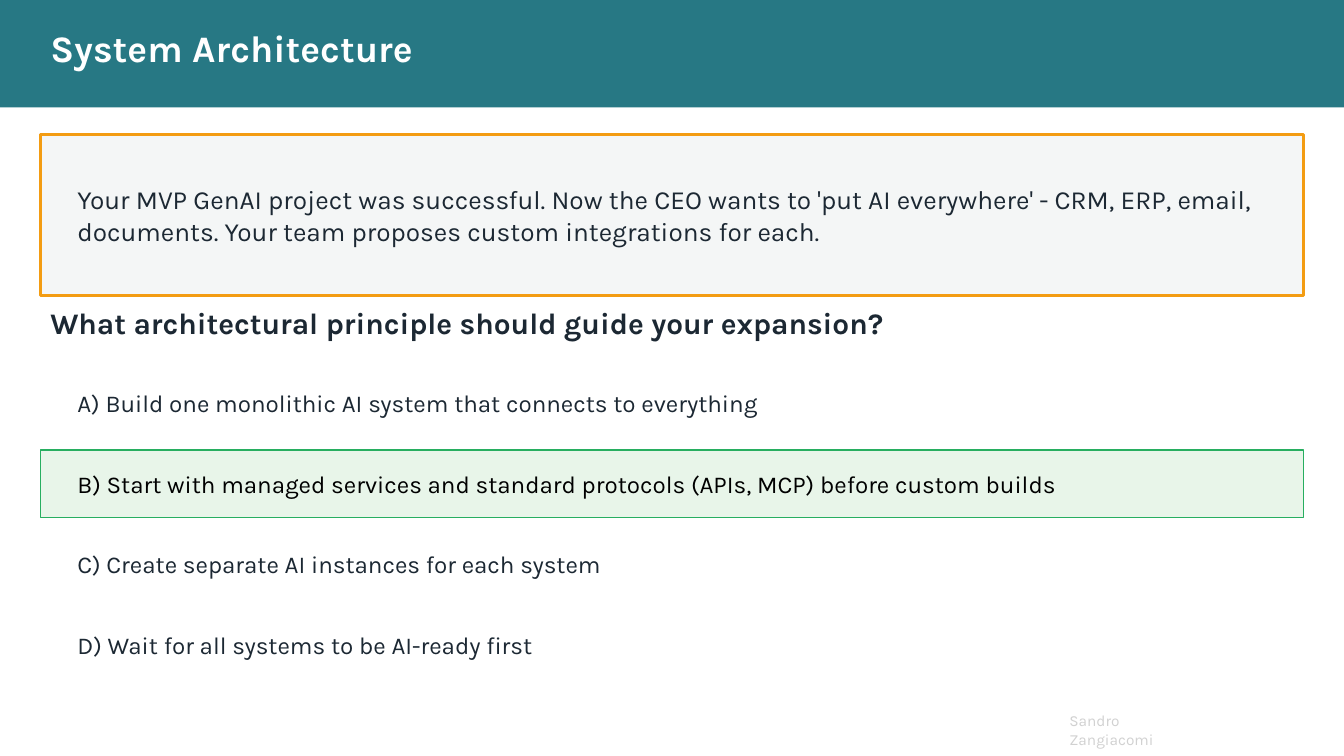
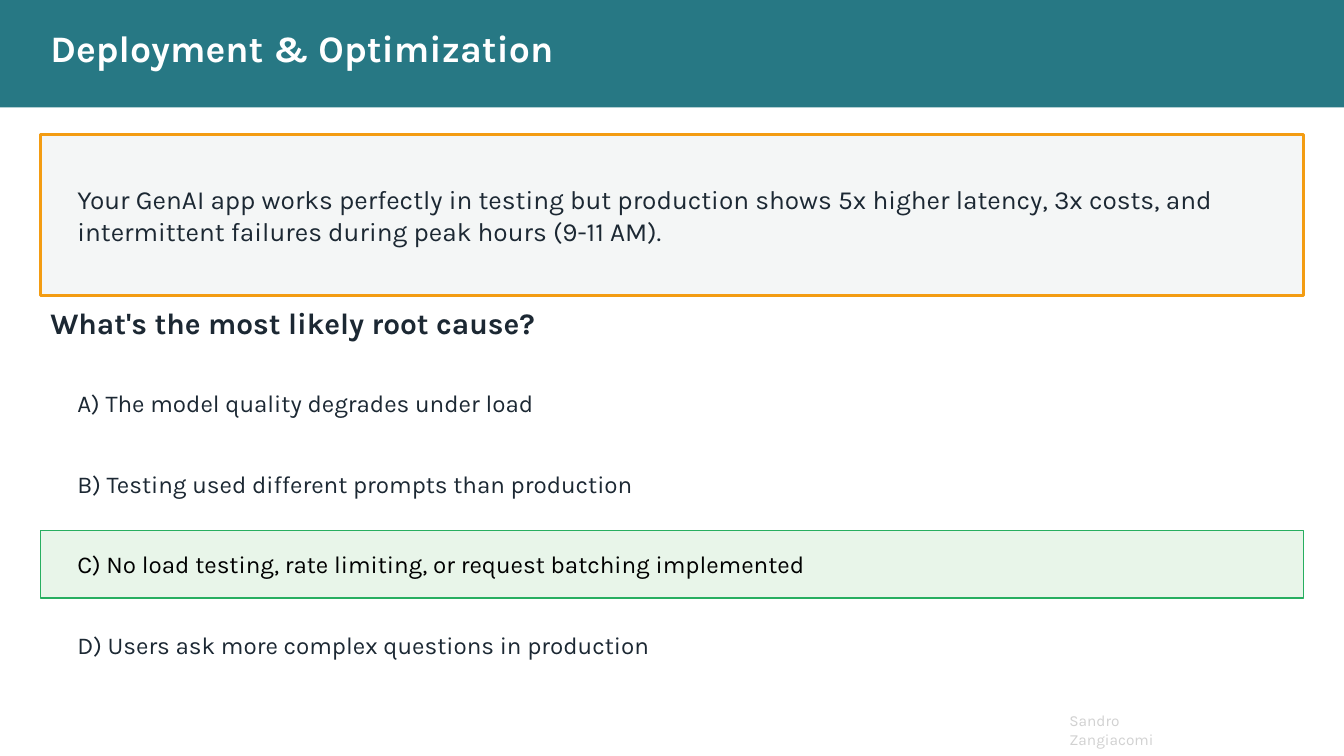
import pptx
import pptx.dml.color
import pptx.enum.shapes
import pptx.enum.text
import pptx.util
from pptx.util import Cm

QUESTIONS = [
    {
        "title": "System Architecture",
        "scenario": "Your MVP GenAI project was successful. Now the CEO wants to "
                    "'put AI everywhere' - CRM, ERP, email, documents. "
                    "Your team proposes custom integrations for each.",
        "question": "What architectural principle should guide your expansion?",
        "options": [
            "A) Build one monolithic AI system that connects to everything",
            "B) Start with managed services and standard protocols (APIs, MCP) "
            "before custom builds",
            "C) Create separate AI instances for each system",
            "D) Wait for all systems to be AI-ready first",
        ],
        "answer": 1,
    },
    {
        "title": "Deployment & Optimization",
        "scenario": "Your GenAI app works perfectly in testing but production shows "
                    "5x higher latency, 3x costs, and intermittent failures during "
                    "peak hours (9-11 AM).",
        "question": "What's the most likely root cause?",
        "options": [
            "A) The model quality degrades under load",
            "B) Testing used different prompts than production",
            "C) No load testing, rate limiting, or request batching implemented",
            "D) Users ask more complex questions in production",
        ],
        "answer": 2,
    },
]
AUTHOR = "Sandro Zangiacomi"

FONT = "Karla"
TEAL, WHITE, INK, BLACK, FOOTER_GREY = "277884", "FFFFFF", "1C2833", "000000", "D1D1D1"
SCENARIO_FILL, ORANGE = "F4F6F6", "F39C12"
ANSWER_FILL, GREEN = "E8F5E9", "27AE60"

SLIDE_WIDTH, SLIDE_HEIGHT = Cm(33.87), Cm(19.05)
LEFT, CONTENT_WIDTH = Cm(1.02), Cm(31.83)
HEADING_INSET, PANEL_INSET = Cm(0.25), Cm(0.93)
OPTION_TOP, OPTION_HEIGHT, OPTION_PITCH = Cm(9.31), Cm(1.7), Cm(2.03)


def rgb(value):
    return pptx.dml.color.RGBColor.from_string(value)


def add_panel(slide, left, top, width, height, fill, line=None, line_width=1):
    panel = slide.shapes.add_shape(
        pptx.enum.shapes.MSO_SHAPE.RECTANGLE, left, top, width, height)
    panel.shadow.inherit = False
    panel.fill.solid()
    panel.fill.fore_color.rgb = rgb(fill)
    if line:
        panel.line.color.rgb = rgb(line)
        panel.line.width = pptx.util.Pt(line_width)
    else:
        panel.line.fill.background()
    return panel


def write(shape, text, size, color, bold=False, inset=HEADING_INSET,
          anchor=pptx.enum.text.MSO_ANCHOR.MIDDLE):
    frame = shape.text_frame
    frame.word_wrap = True
    frame.vertical_anchor = anchor
    frame.margin_left = frame.margin_right = inset
    paragraph = frame.paragraphs[0]
    paragraph.alignment = pptx.enum.text.PP_ALIGN.LEFT
    run = paragraph.add_run()
    run.text = text
    run.font.name = FONT
    run.font.size = pptx.util.Pt(size)
    run.font.bold = bold
    run.font.color.rgb = rgb(color)


def add_frame(slide, title):
    """Add what every slide shares: title band, title and author footer."""
    add_panel(slide, 0, 0, SLIDE_WIDTH, Cm(2.71), TEAL)
    heading = slide.shapes.add_textbox(LEFT, Cm(0.49), Cm(25.4), Cm(1.4))
    write(heading, title, 26.7, WHITE, bold=True)
    footer = slide.shapes.add_textbox(Cm(26.7), Cm(17.8), Cm(3.78), Cm(1.2))
    write(footer, AUTHOR, 11, FOOTER_GREY, anchor=pptx.enum.text.MSO_ANCHOR.TOP)


def add_options(slide, options, answer):
    for index, option in enumerate(options):
        place = (LEFT, OPTION_TOP + index * OPTION_PITCH, CONTENT_WIDTH, OPTION_HEIGHT)
        if index == answer:
            row, color = add_panel(slide, *place, ANSWER_FILL, GREEN), BLACK
        else:
            row, color = slide.shapes.add_textbox(*place), INK
        write(row, option, 17.3, color, inset=PANEL_INSET)


def add_question_slide(deck, content):
    slide = deck.slides.add_slide(deck.slide_layouts[6])
    add_frame(slide, content["title"])
    scenario = add_panel(slide, LEFT, Cm(3.39), CONTENT_WIDTH, Cm(4.06),
                         SCENARIO_FILL, ORANGE, 2)
    write(scenario, content["scenario"], 18.7, INK, inset=PANEL_INSET)
    question = slide.shapes.add_textbox(LEFT, Cm(7.53), CONTENT_WIDTH, Cm(1.2))
    write(question, content["question"], 21.3, INK, bold=True)
    add_options(slide, content["options"], content["answer"])


def main():
    deck = pptx.Presentation()
    deck.slide_width, deck.slide_height = SLIDE_WIDTH, SLIDE_HEIGHT
    for content in QUESTIONS:
        add_question_slide(deck, content)
    deck.save("out.pptx")


if __name__ == "__main__":
    main()
